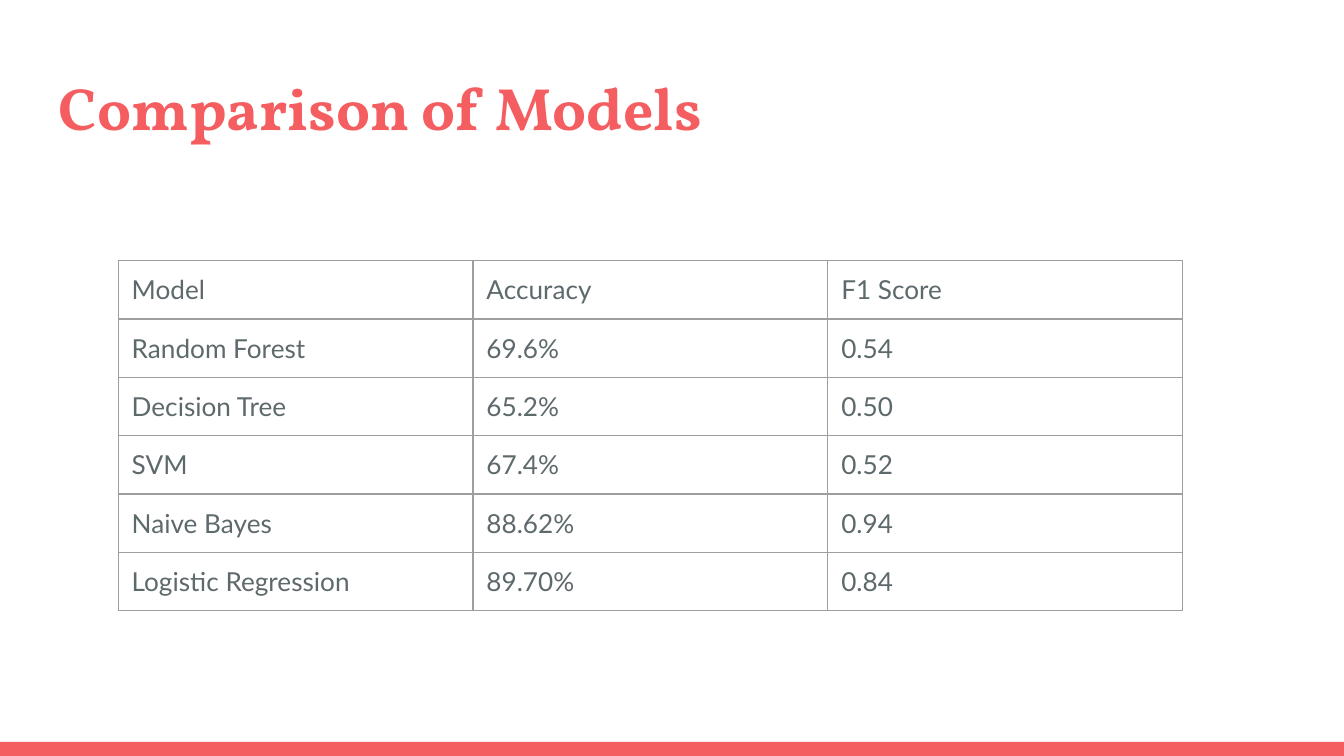
import lxml.etree
import pptx
import pptx.dml.color
import pptx.enum.shapes
import pptx.enum.text
import pptx.oxml.ns
import pptx.util

Inches = pptx.util.Inches
RGBColor = pptx.dml.color.RGBColor

CORAL = RGBColor(0xF5, 0x5E, 0x61)
SLATE = RGBColor(0x5E, 0x69, 0x6C)
GRAY = RGBColor(0x9E, 0x9E, 0x9E)
WHITE = RGBColor(0xFF, 0xFF, 0xFF)

SLIDE_WIDTH = Inches(10)
SLIDE_HEIGHT = SLIDE_WIDTH * 9 // 16

TITLE_FORMAT = {"name": "Vollkorn", "size": pptx.util.Pt(32), "bold": True}
CELL_FORMAT = {"name": "Lato", "size": pptx.util.Pt(14), "bold": False}
MARGINS = {f"margin_{side}": Inches(0.1) for side in ("left", "right", "top", "bottom")}

MODEL_SCORES = [
    ("Model", "Accuracy", "F1 Score"),
    ("Random Forest", "69.6%", "0.54"),
    ("Decision Tree", "65.2%", "0.50"),
    ("SVM", "67.4%", "0.52"),
    ("Naive Bayes", "88.62%", "0.94"),
    ("Logistic Regression", "89.70%", "0.84"),
]


def set_attributes(target, values):
    """Set every attribute named in the dict on the target."""
    for name, value in values.items():
        setattr(target, name, value)


def write_text(text_frame, text, font_format, color):
    """Fill a text frame with one formatted run."""
    run = text_frame.paragraphs[0].add_run()
    run.text = text
    set_attributes(run.font, font_format)
    run.font.color.rgb = color


def add_footer_bar(slide, left, top, width, height):
    """Draw the plain coloured bar in the given box."""
    bar = slide.shapes.add_shape(
        pptx.enum.shapes.MSO_SHAPE.RECTANGLE,
        Inches(left), Inches(top), Inches(width), Inches(height))
    bar.shadow.inherit = False
    bar.fill.solid()
    bar.fill.fore_color.rgb = CORAL
    bar.line.fill.background()


def add_title(slide, left, top, width, height):
    """Place the slide title in the given box."""
    title = slide.shapes.add_textbox(
        Inches(left), Inches(top), Inches(width), Inches(height))
    set_attributes(title.text_frame, {
        **MARGINS, "word_wrap": True,
        "vertical_anchor": pptx.enum.text.MSO_ANCHOR.TOP})
    write_text(title.text_frame, "Comparison of Models", TITLE_FORMAT, CORAL)


def add_cell_borders(cell, color, width):
    """Outline all four sides of a table cell."""
    qn = pptx.oxml.ns.qn
    properties = cell._tc.get_or_add_tcPr()
    for index, side in enumerate(("lnL", "lnR", "lnT", "lnB")):
        line = lxml.etree.Element(qn(f"a:{side}"), w=str(pptx.util.Pt(width)))
        fill = lxml.etree.SubElement(line, qn("a:solidFill"))
        lxml.etree.SubElement(fill, qn("a:srgbClr"), val=str(color))
        properties.insert(index, line)


def add_score_table(slide, left, top, width, height):
    """Place the model comparison table in the given box."""
    table = slide.shapes.add_table(
        len(MODEL_SCORES), len(MODEL_SCORES[0]),
        Inches(left), Inches(top), Inches(width), Inches(height)).table
    set_attributes(table, {"first_row": False, "horz_banding": False})
    for row, values in zip(table.rows, MODEL_SCORES):
        for cell, value in zip(row.cells, values):
            set_attributes(cell, MARGINS)
            cell.fill.background()
            add_cell_borders(cell, GRAY, 0.75)
            write_text(cell.text_frame, value, CELL_FORMAT, SLATE)


def build_comparison_slide(presentation):
    """Add the slide that compares the models."""
    slide = presentation.slides.add_slide(presentation.slide_layouts[6])
    slide.background.fill.solid()
    slide.background.fill.fore_color.rgb = WHITE
    add_footer_bar(slide, 0, 5.52, 10, 0.11)
    add_title(slide, 0.34, 0.43, 9.32, 0.68)
    add_score_table(slide, 0.88, 1.94, 7.92, 2.52)


def main():
    """Build and save the presentation."""
    presentation = pptx.Presentation()
    set_attributes(presentation, {
        "slide_width": SLIDE_WIDTH, "slide_height": SLIDE_HEIGHT})
    build_comparison_slide(presentation)
    presentation.save("out.pptx")


if __name__ == "__main__":
    main()
